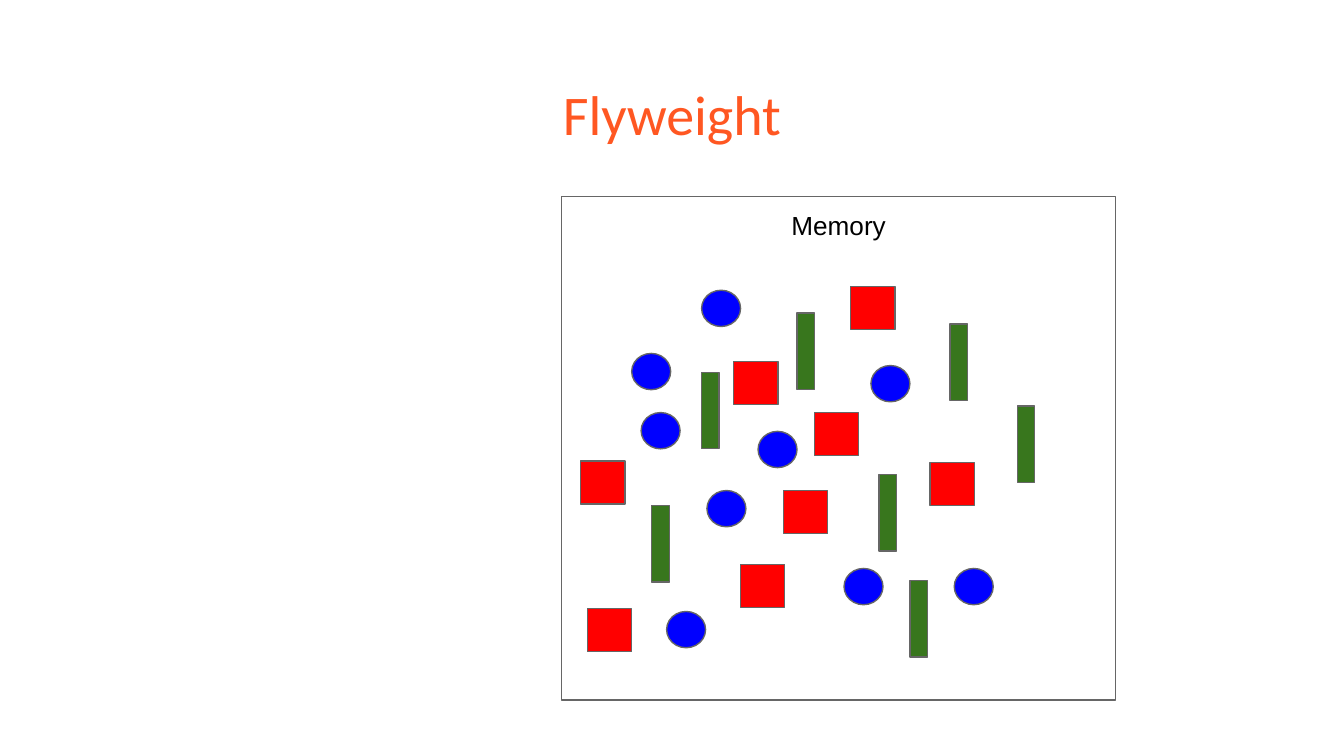
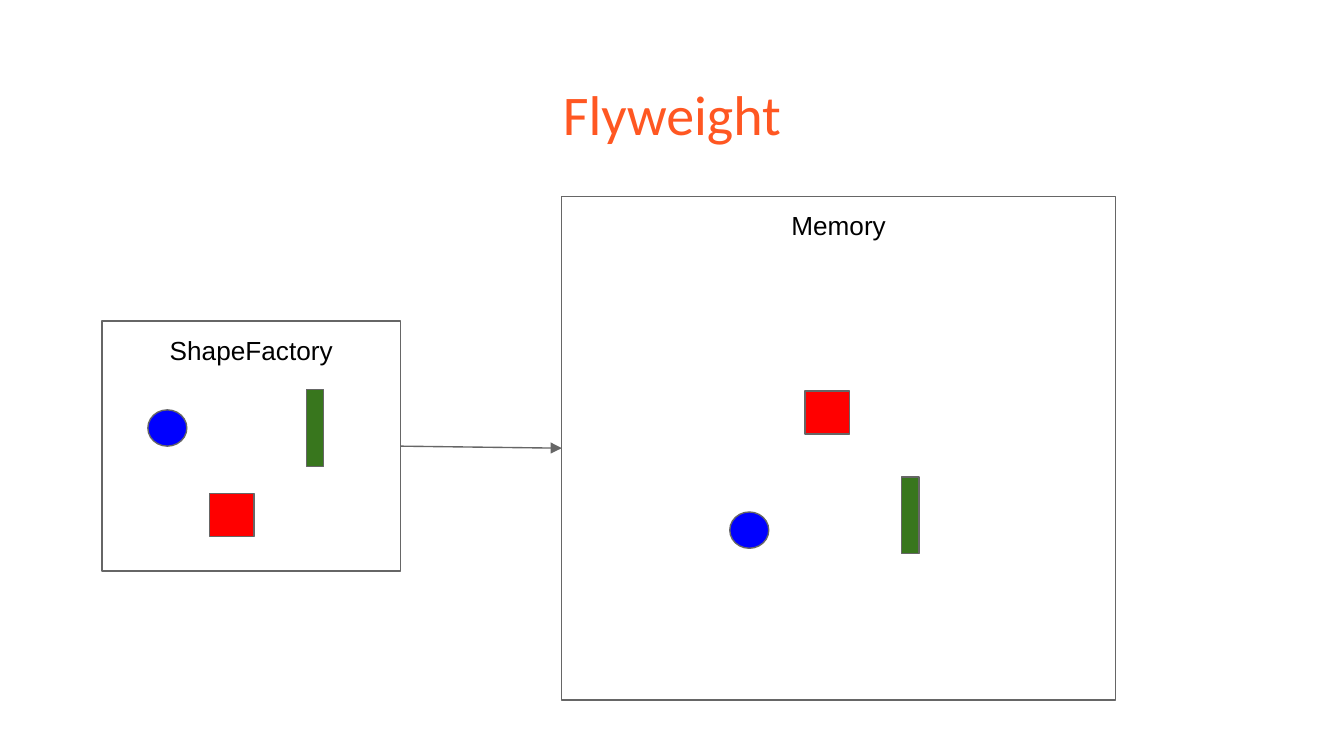
from dataclasses import dataclass

from lxml import etree
from pptx import Presentation
from pptx import util as u
from pptx.dml.color import RGBColor
from pptx.enum import shapes, text
from pptx.oxml.ns import qn


@dataclass(frozen=True)
class Theme:
    title_color: str = "FF5722"
    title_font: str = "Calibri"
    title_size: int = 30
    label_color: str = "000000"
    label_font: str = "Arial"
    label_size: int = 14
    line_color: str = "666666"
    line_width: float = 0.75
    red: str = "FF0000"
    green: str = "38761D"
    blue: str = "0000FF"
    inset: float = 0.1


THEME = Theme()

PAGE_WIDTH = 10
PAGE_HEIGHT = PAGE_WIDTH * 9 / 16

# Boxes are left, top, width, height in inches.
TITLE_BOX = (0.34, 0.49, 9.32, 0.63)
MEMORY_BOX = (4.18, 1.46, 4.12, 3.75)
FACTORY_BOX = (0.76, 2.39, 2.22, 1.86)

RECTANGLE = shapes.MSO_SHAPE.RECTANGLE
OVAL = shapes.MSO_SHAPE.OVAL

# Each kind of object: preset shape, width, height, fill.
KINDS = {
    "square": (RECTANGLE, 0.33, 0.32, THEME.red),
    "bar": (RECTANGLE, 0.13, 0.57, THEME.green),
    "circle": (OVAL, 0.29, 0.27, THEME.blue),
}

# Positions of the objects, measured from the corner of their frame.
MANY_OBJECTS = {
    "square": [(2.15, 0.67), (1.28, 1.23), (1.88, 1.61), (0.14, 1.97),
               (2.74, 1.98), (1.65, 2.19), (1.33, 2.74), (0.19, 3.07)],
    "bar": [(1.75, 0.87), (2.89, 0.95), (1.04, 1.31), (3.39, 1.56),
            (2.36, 2.07), (0.67, 2.30), (2.59, 2.86)],
    "circle": [(1.04, 0.70), (0.52, 1.17), (2.30, 1.26), (0.59, 1.61), (1.46, 1.75),
               (1.08, 2.19), (2.10, 2.77), (2.92, 2.77), (0.78, 3.09)],
}
SHARED_OBJECTS = {"square": [(1.81, 1.45)], "bar": [(2.53, 2.09)], "circle": [(1.25, 2.35)]}
FACTORY_OBJECTS = {"square": [(0.80, 1.28)], "bar": [(1.52, 0.51)], "circle": [(0.34, 0.66)]}


def inches(values):
    return [u.Inches(value) for value in values]


def style_line(line):
    line.color.rgb = RGBColor.from_string(THEME.line_color)
    line.width = u.Pt(THEME.line_width)


def write(shape, words, font, size, color):
    """Put one centred line at the top of a shape."""
    frame = shape.text_frame
    frame.word_wrap = True
    frame.vertical_anchor = text.MSO_ANCHOR.TOP
    frame.margin_left = frame.margin_right = u.Inches(THEME.inset)
    frame.margin_top = frame.margin_bottom = u.Inches(THEME.inset)
    frame.text = words
    para = frame.paragraphs[0]
    para.alignment = text.PP_ALIGN.CENTER
    span = para.runs[0]
    span.font.name = font
    span.font.size = u.Pt(size)
    span.font.color.rgb = RGBColor.from_string(color)


def add_title(page, words):
    box = page.shapes.add_textbox(*inches(TITLE_BOX))
    write(box, words, THEME.title_font, THEME.title_size, THEME.title_color)


def add_outlined(page, preset, box, fill=None):
    shape = page.shapes.add_shape(preset, *inches(box))
    shape.shadow.inherit = False
    if fill:
        shape.fill.solid()
        shape.fill.fore_color.rgb = RGBColor.from_string(fill)
    else:
        shape.fill.background()
    style_line(shape.line)
    return shape


def add_container(page, box, label, objects):
    """Draw a labelled frame with objects placed relative to its corner."""
    left, top = box[:2]
    frame = add_outlined(page, RECTANGLE, box)
    write(frame, label, THEME.label_font, THEME.label_size, THEME.label_color)
    for kind, places in objects.items():
        preset, width, height, fill = KINDS[kind]
        for x, y in places:
            add_outlined(page, preset, (left + x, top + y, width, height), fill)
    return frame


def add_arrow(page, source, target):
    """Point from the right side of source to the left side of target."""
    arrow = page.shapes.add_connector(shapes.MSO_CONNECTOR.STRAIGHT, 0, 0, 0, 0)
    arrow.begin_connect(source, 3)
    arrow.end_connect(target, 1)
    style_line(arrow.line)
    properties = arrow._element.spPr
    etree.SubElement(properties.find(qn("a:ln")), qn("a:tailEnd"), type="triangle")
    etree.SubElement(properties, qn("a:effectLst"))


def add_page(deck):
    page = deck.slides.add_slide(deck.slide_layouts[6])
    add_title(page, "Flyweight")
    return page


def build_without_sharing(deck):
    page = add_page(deck)
    add_container(page, MEMORY_BOX, "Memory", MANY_OBJECTS)


def build_with_factory(deck):
    page = add_page(deck)
    memory = add_container(page, MEMORY_BOX, "Memory", SHARED_OBJECTS)
    factory = add_container(page, FACTORY_BOX, "ShapeFactory", FACTORY_OBJECTS)
    add_arrow(page, factory, memory)


def main():
    deck = Presentation()
    deck.slide_width, deck.slide_height = inches((PAGE_WIDTH, PAGE_HEIGHT))
    build_without_sharing(deck)
    build_with_factory(deck)
    deck.save("out.pptx")


if __name__ == "__main__":
    main()
